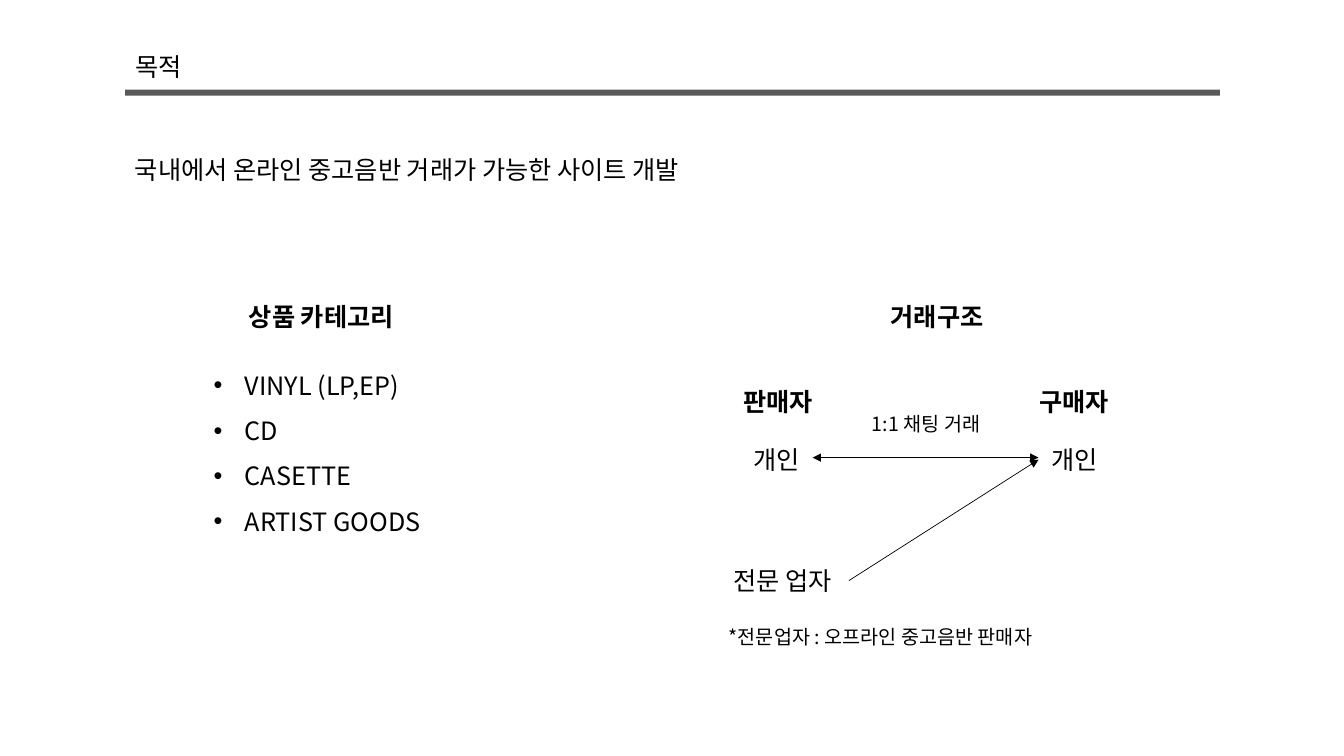
from dataclasses import dataclass

from lxml import etree
from pptx import Presentation
from pptx.dml.color import RGBColor
from pptx.enum.shapes import MSO_CONNECTOR, MSO_SHAPE
from pptx.enum.text import MSO_ANCHOR, MSO_AUTO_SIZE, PP_ALIGN
from pptx.oxml.ns import qn
from pptx.util import Emu, Pt

LEFT, CENTER = PP_ALIGN.LEFT, PP_ALIGN.CENTER
TOP = MSO_ANCHOR.TOP
GROW = MSO_AUTO_SIZE.SHAPE_TO_FIT_TEXT
STRAIGHT = MSO_CONNECTOR.STRAIGHT
RECTANGLE = MSO_SHAPE.RECTANGLE
TITLE_ONLY = 5
EMU_PER_PX = 9144  # 100 px to the inch


@dataclass(frozen=True)
class Theme:
    font: str = "Noto Sans CJK KR"
    text: RGBColor = RGBColor(0, 0, 0)
    rule: RGBColor = RGBColor(0x59, 0x59, 0x59)
    body_size: Pt = Pt(18)
    note_size: Pt = Pt(14)
    arrow_width: Pt = Pt(0.5)


THEME = Theme()
LINE_HEIGHT = 40
NOTE_HEIGHT = 34
BULLET_INDENT = 31
COLUMN_HEADING_TOP = 294
ROLE_TOP = 378
PERSON_TOP = 436

CATEGORIES = ["VINYL (LP,EP)", "CD", "CASETTE", "ARTIST GOODS"]


def px(length):
    return Emu(length * EMU_PER_PX)


def format_paragraph(paragraph, size, bold, align):
    paragraph.alignment = align
    font = paragraph.font
    font.name = THEME.font
    font.size = size
    font.bold = bold
    font.color.rgb = THEME.text
    # Hangul takes its typeface from the East Asian slot.
    latin = paragraph._p.pPr.find(qn("a:defRPr")).find(qn("a:latin"))
    east_asian = etree.Element(qn("a:ea"), typeface=THEME.font)
    latin.addnext(east_asian)


def fit_frame(frame):
    frame.word_wrap = False
    frame.auto_size = GROW
    frame.vertical_anchor = TOP


def add_title(slide, text, left, top, width):
    title = slide.shapes.title
    title.left, title.top = px(left), px(top)
    title.width, title.height = px(width), px(LINE_HEIGHT)
    fit_frame(title.text_frame)
    paragraph = title.text_frame.paragraphs[0]
    paragraph.text = text
    paragraph.line_spacing = 1.0
    format_paragraph(paragraph, THEME.body_size, False, LEFT)


def add_text(slide, text, left, top, width, height=LINE_HEIGHT,
             size=THEME.body_size, bold=False, align=LEFT):
    box = slide.shapes.add_textbox(px(left), px(top), px(width), px(height))
    fit_frame(box.text_frame)
    paragraph = box.text_frame.paragraphs[0]
    paragraph.text = text
    format_paragraph(paragraph, size, bold, align)


def add_bullets(slide, items, left, top, width, height):
    box = slide.shapes.add_textbox(px(left), px(top), px(width), px(height))
    frame = box.text_frame
    fit_frame(frame)
    for index, item in enumerate(items):
        paragraph = frame.add_paragraph() if index else frame.paragraphs[0]
        paragraph.text = item
        paragraph.line_spacing = 1.5
        properties = paragraph._p.get_or_add_pPr()
        properties.set("marL", str(px(BULLET_INDENT)))
        properties.set("indent", str(px(-BULLET_INDENT)))
        etree.SubElement(properties, qn("a:buFont"), typeface="Arial")
        etree.SubElement(properties, qn("a:buChar"), char="•")
        format_paragraph(paragraph, THEME.body_size, False, LEFT)


def add_rule(slide, left, top, width, height):
    rule = slide.shapes.add_shape(
        RECTANGLE, px(left), px(top), px(width), px(height))
    rule.shadow.inherit = False
    rule.fill.solid()
    rule.fill.fore_color.rgb = THEME.rule
    rule.line.fill.background()


def add_arrow(slide, start, end):
    arrow = slide.shapes.add_connector(
        STRAIGHT, *(px(value) for value in (*start, *end)))
    arrow.line.color.rgb = THEME.text
    arrow.line.width = THEME.arrow_width
    etree.SubElement(arrow.line._get_or_add_ln(), qn("a:tailEnd"),
                     type="triangle")
    etree.SubElement(arrow._element.spPr, qn("a:effectLst"))


def add_categories(slide):
    add_bullets(slide, CATEGORIES, 202, 347, 228, 186)
    add_text(slide, "상품 카테고리", 237, COLUMN_HEADING_TOP, 181, bold=True)


def add_trade_structure(slide):
    add_text(slide, "거래구조", 868, COLUMN_HEADING_TOP, 123,
             bold=True, align=CENTER)
    for role, role_left, person_left in (("판매자", 723, 735),
                                         ("구매자", 1017, 1030)):
        add_text(slide, role, role_left, ROLE_TOP, 97, bold=True, align=CENTER)
        add_text(slide, "개인", person_left, PERSON_TOP, 71, align=CENTER)
    add_text(slide, "전문 업자", 711, 556, 131, align=CENTER)

    for start, end in (((836, 454), (1030, 454)),
                       ((990, 454), (806, 454)),
                       ((842, 576), (1030, 456))):
        add_arrow(slide, start, end)

    add_text(slide, "1:1 채팅 거래", 849, 404, 139, NOTE_HEIGHT,
             THEME.note_size, align=CENTER)
    add_text(slide, "*전문업자 : 오프라인 중고음반 판매자", 713, 615, 357,
             NOTE_HEIGHT, THEME.note_size)


def main():
    presentation = Presentation()
    presentation.slide_width = px(1333)
    presentation.slide_height = px(750)
    slide = presentation.slides.add_slide(
        presentation.slide_layouts[TITLE_ONLY])

    add_title(slide, "목적", 124, 46, 71)
    add_rule(slide, 124, 89, 1086, 6)
    add_text(slide, "국내에서 온라인 중고음반 거래가 가능한 사이트 개발", 124, 148, 629)
    add_categories(slide)
    add_trade_structure(slide)

    presentation.save("out.pptx")


if __name__ == "__main__":
    main()
